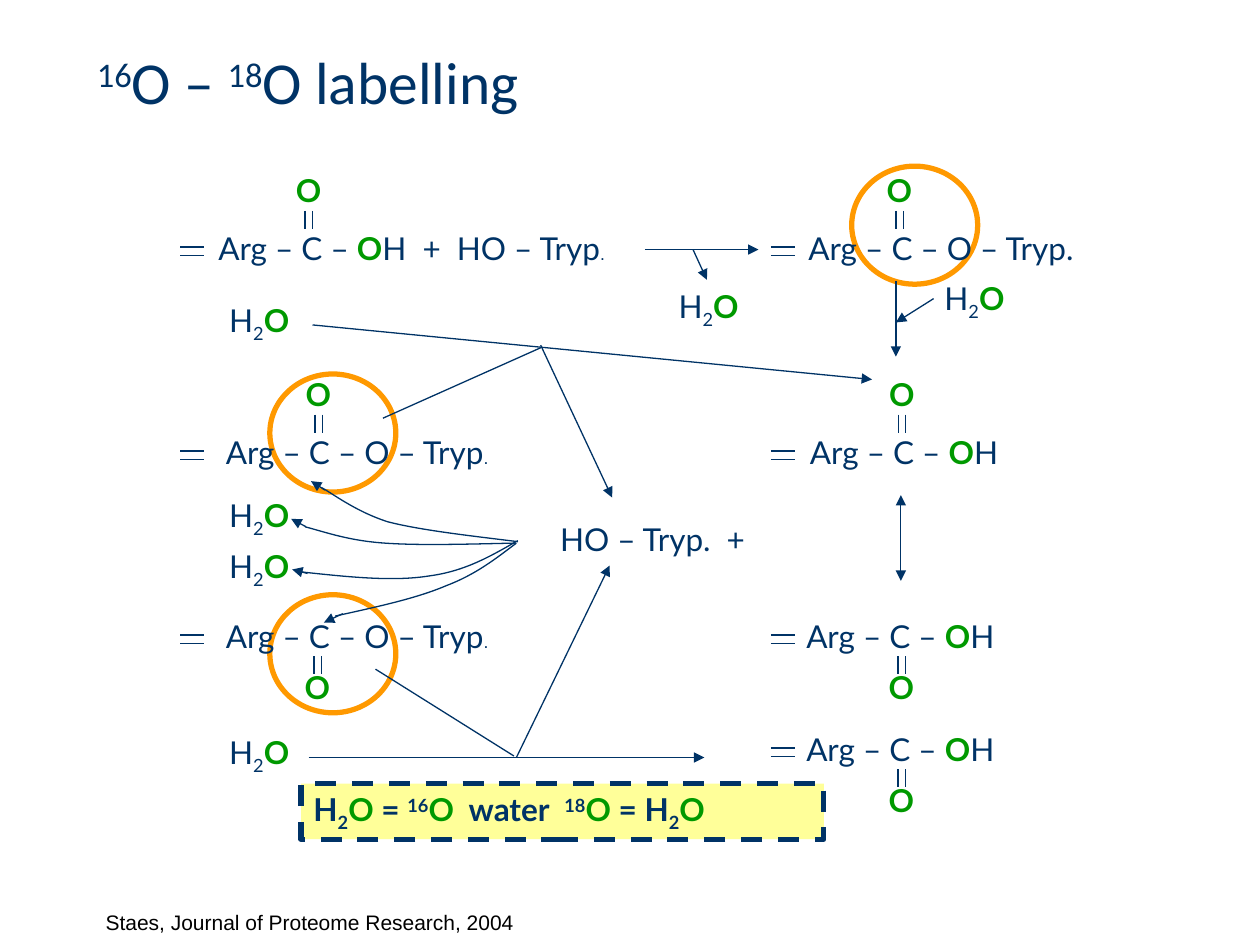
from dataclasses import dataclass

from lxml.etree import SubElement
from pptx import Presentation
from pptx.dml.color import RGBColor
from pptx.enum.dml import MSO_LINE
from pptx.enum.shapes import MSO_CONNECTOR, MSO_SHAPE
from pptx.enum.text import MSO_ANCHOR, MSO_AUTO_SIZE, PP_ALIGN
from pptx.oxml.ns import qn
from pptx.util import Cm, Pt


@dataclass(frozen=True)
class Theme:
    navy: RGBColor = RGBColor(0x00, 0x33, 0x66)
    green: RGBColor = RGBColor(0x00, 0x99, 0x00)
    orange: RGBColor = RGBColor(0xFF, 0x99, 0x00)
    yellow: RGBColor = RGBColor(0xFF, 0xFF, 0x99)
    black: RGBColor = RGBColor(0x00, 0x00, 0x00)
    title_font: str = "Calibri"
    formula_font: str = "Lato"
    plain_font: str = "Arial"
    title_size: Pt = Pt(34)
    formula_size: Pt = Pt(18)
    source_size: Pt = Pt(12)
    dot_size: Pt = Pt(10)
    thin: Pt = Pt(0.75)
    thick: Pt = Pt(3)


THEME = Theme()
BASELINES = {"sub": "-25000", "super": "30000"}
DOT = (".", "dot")
WATER = [("H", ""), ("2", "sub"), ("O", "oxygen")]
ACID = [("Arg – C – ", ""), ("O", "oxygen"), ("H", "")]
ESTER = [("Arg – C – O – Tryp", ""), DOT]
FULL_ESTER = [("Arg – C – O – Tryp.", "")]
REAGENTS = [(" Arg – C – ", ""), ("O", "oxygen"), ("H  +  HO – Tryp", ""), DOT]
TITLE = [("16", "super"), ("O – ", ""), ("18", "super"), ("O labelling", "")]
LEGEND = [*WATER, (" = ", ""), ("16", "super"), ("O", "oxygen"), ("  water  ", ""),
          ("18", "super"), ("O", "oxygen"), (" = ", ""), *WATER]

LEFT_BOND, RIGHT_BOND = 3.63, 15.54
PEPTIDES = [
    (REAGENTS, 3.38, 4.5, 9.7, LEFT_BOND, 6.15, True),
    (FULL_ESTER, 15.49, 4.5, 6.96, RIGHT_BOND, 18.06, True),
    (ESTER, 3.3, 8.61, 7.8, LEFT_BOND, 6.35, True),
    (ACID, 15.42, 8.61, 5.61, RIGHT_BOND, 18.11, True),
    (ESTER, 3.3, 12.32, 7.8, LEFT_BOND, 6.33, False),
    (ACID, 15.24, 12.32, 5.82, RIGHT_BOND, 18.1, False),
    (ACID, 15.24, 14.6, 5.82, RIGHT_BOND, 18.1, False),
]
RINGS = [(17.17, 3.35), (5.44, 11.99), (5.44, 7.54)]
WATERS = [(12.67, 5.66), (18.03, 5.51), (3.61, 5.94), (3.61, 9.88), (3.61, 10.9), (3.61, 14.66)]
ARROWS = [
    (13.97, 5.03, 14.25, 5.64),
    (13, 5.03, 15.29, 5.03),
    (18.06, 5.66, 18.06, 7.19),
    (18.82, 6.02, 18.06, 6.5),
    (6.3, 6.55, 17.58, 7.65),
    (6.55, 9.88, 6.27, 9.7),
    (6.17, 10.62, 5.87, 10.46),
    (6.2, 11.56, 5.89, 11.48),
    (6.91, 12.37, 6.53, 12.55),
    (6.22, 15.27, 14.2, 15.27),
    (10.41, 15.27, 12.29, 11.4),
    (10.9, 6.96, 12.34, 10.03),
]
BRANCHES = [(7.57, 13.49, 10.36, 15.24), (7.72, 8.43, 10.9, 7.01)]
CURVES = [
    [(10.44, 10.92), (9.47, 10.8), (8.48, 10.69), (7.82, 10.52),
     (7.16, 10.31), (6.68, 9.93), (6.48, 9.83)],
    [(10.39, 10.95), (9.42, 10.97), (8.46, 11), (7.75, 10.95),
     (7.04, 10.9), (6.6, 10.74), (6.15, 10.62)],
    [(10.44, 10.9), (9.91, 11.2), (9.4, 11.51), (8.66, 11.61),
     (7.92, 11.73), (7.01, 11.63), (6.07, 11.53)],
    [(10.41, 10.95), (10.01, 11.25), (9.6, 11.58), (8.99, 11.81),
     (8.38, 12.07), (7.57, 12.24), (6.76, 12.42)],
]


def write(frame, spans, font=THEME.formula_font, size=THEME.formula_size,
          color=THEME.navy, align=PP_ALIGN.CENTER, bold=False):
    frame.vertical_anchor = MSO_ANCHOR.TOP
    para = frame.paragraphs[0]
    para.alignment = align
    para.font.name, para.font.size, para.font.bold = font, size, bold
    para.font.color.rgb = color
    for text, style in spans:
        span = para.add_run()
        span.text = text
        if style in BASELINES:
            span._r.get_or_add_rPr().set("baseline", BASELINES[style])
        elif style == "oxygen":
            span.font.bold = True
            span.font.color.rgb = THEME.green
        elif style == "dot":
            span.font.name, span.font.size = THEME.plain_font, THEME.dot_size


def add_text(page, spans, left, top, width, height=1.02, wrap=True, **style):
    box = page.shapes.add_textbox(Cm(left), Cm(top), Cm(width), Cm(height))
    box.text_frame.word_wrap = wrap
    write(box.text_frame, spans, **style)


def add_line(page, x1, y1, x2, y2, ends=()):
    line = page.shapes.add_connector(MSO_CONNECTOR.STRAIGHT, Cm(x1), Cm(y1), Cm(x2), Cm(y2))
    line.line.color.rgb = THEME.navy
    line.line.width = THEME.thin
    for end in ends:
        SubElement(line.line._get_or_add_ln(), qn(f"a:{end}"), type="triangle")
    SubElement(line._element.spPr, qn("a:effectLst"))


def add_curve(page, points):
    start, *others = [(Cm(x), Cm(y)) for x, y in points]
    builder = page.shapes.build_freeform(*start)
    builder.add_line_segments(others, close=False)
    curve = builder.convert_to_shape()
    segments = list(curve._element.iter(qn("a:lnTo")))
    for first in range(0, len(segments), 3):
        bend, *rest = segments[first:first + 3]
        cubic = SubElement(bend.getparent(), qn("a:cubicBezTo"))
        for segment in (bend, *rest):
            cubic.append(segment[0])
            segment.getparent().remove(segment)
    curve.shadow.inherit = False
    curve.fill.background()
    curve.line.color.rgb = THEME.navy
    curve.line.width = THEME.thin


def add_ring(page, left, top):
    ring = page.shapes.add_shape(MSO_SHAPE.OVAL, Cm(left), Cm(top), Cm(2.54), Cm(2.38))
    ring.shadow.inherit = False
    ring.fill.background()
    ring.line.color.rgb = THEME.orange
    ring.line.width = THEME.thick


def add_peptide(page, spans, left, top, width, bond_left, carbon_left, oxygen_above):
    carbonyl_top = top - 0.25 if oxygen_above else top + 0.91
    oxygen_top = top - 1.17 if oxygen_above else top + 1.02
    for gap in (0, 0.17):
        y = top + 0.48 + gap
        add_line(page, bond_left, y, bond_left + 0.48, y)
    for gap in (0, 0.15):
        x = carbon_left + gap
        add_line(page, x, carbonyl_top, x, carbonyl_top + 0.36)
    add_text(page, [("O", "oxygen")], carbon_left - 0.55, oxygen_top, 1.24)
    add_text(page, spans, left, top, width)


def add_legend(page):
    box = page.shapes.add_shape(MSO_SHAPE.RECTANGLE, Cm(6.07), Cm(15.8), Cm(10.54), Cm(1.12))
    box.shadow.inherit = False
    box.fill.solid()
    box.fill.fore_color.rgb = THEME.yellow
    box.line.color.rgb = THEME.navy
    box.line.width = THEME.thick
    box.line.dash_style = MSO_LINE.DASH
    write(box.text_frame, LEGEND, align=PP_ALIGN.LEFT, bold=True)


def add_title(page):
    title = page.shapes.title
    title.left, title.top, title.width, title.height = Cm(1.7), Cm(0.79), Cm(22.81), Cm(3.33)
    title.text_frame.auto_size = MSO_AUTO_SIZE.NONE
    write(title.text_frame, TITLE, THEME.title_font, THEME.title_size, align=PP_ALIGN.LEFT)


def main():
    deck = Presentation()
    deck.slide_width, deck.slide_height = Cm(25.4), Cm(19.05)
    page = deck.slides.add_slide(deck.slide_layouts[5])
    add_title(page)
    for ring in RINGS:
        add_ring(page, *ring)
    for peptide in PEPTIDES:
        add_peptide(page, *peptide)
    for left, top in WATERS:
        add_text(page, WATER, left, top, 3.23)
    add_text(page, [("HO – Tryp.  +", "")], 10.41, 10.36, 5.49)
    for curve in CURVES:
        add_curve(page, curve)
    for arrow in ARROWS:
        add_line(page, *arrow, ends=["tailEnd"])
    for branch in BRANCHES:
        add_line(page, *branch)
    add_line(page, 18.16, 9.98, 18.16, 11.71, ends=["headEnd", "tailEnd"])
    add_legend(page)
    add_text(page, [("Staes, Journal of Proteome Research, 2004", "")], 1.88, 18.21, 8.79, 0.79,
             wrap=False, font=THEME.plain_font, size=THEME.source_size,
             color=THEME.black, align=PP_ALIGN.LEFT)
    deck.save("out.pptx")


if __name__ == "__main__":
    main()
